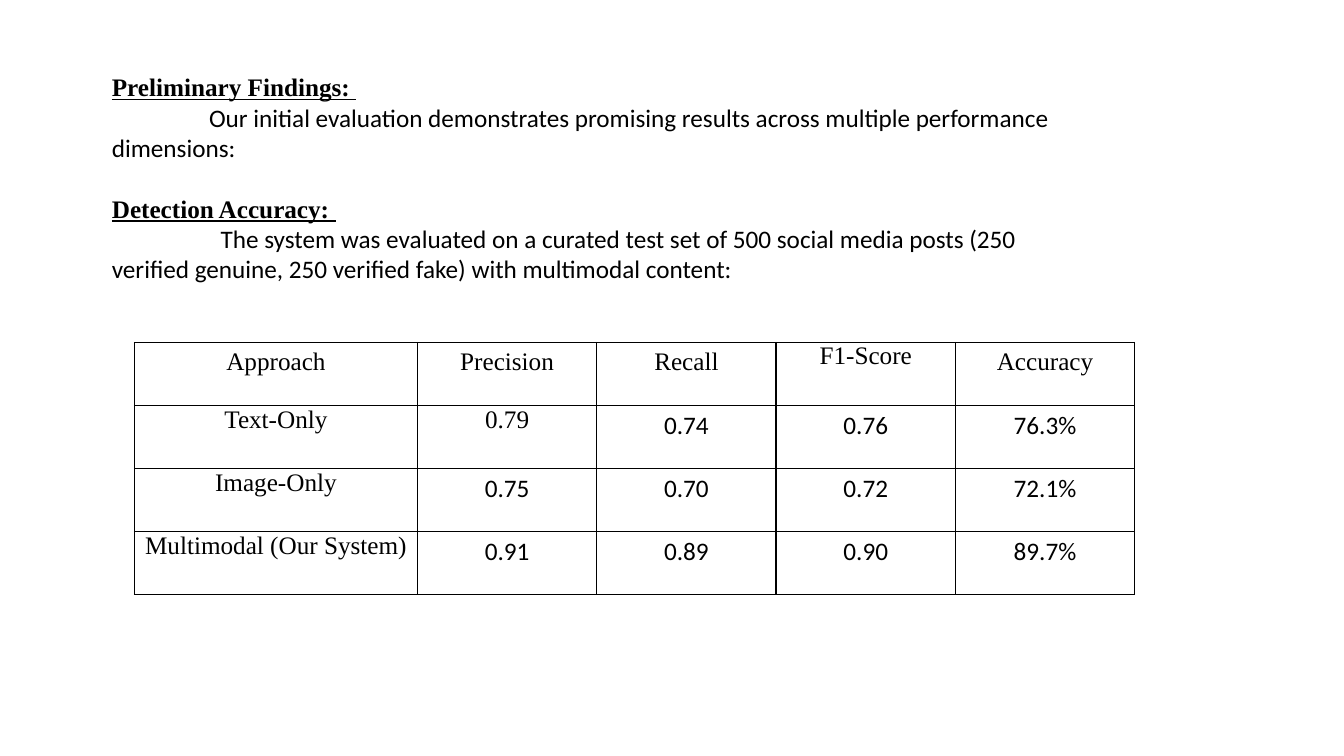
from lxml import etree
from pptx import Presentation
from pptx.dml.color import RGBColor
from pptx.enum import text
from pptx.oxml.ns import qn
from pptx.util import Cm, Pt

SERIF, SANS = "Times New Roman", "Calibri"
INK = "000000"
ROWS = [
    ["Approach", "Precision", "Recall", "F1-Score", "Accuracy"],
    ["Text-Only", "0.79", "0.74", "0.76", "76.3%"],
    ["Image-Only", "0.75", "0.70", "0.72", "72.1%"],
    ["Multimodal (Our System)", "0.91", "0.89", "0.90", "89.7%"],
]
TIGHT = {"F1-Score", "0.79"} | {row[0] for row in ROWS[1:]}


def tint(code):
    return RGBColor.from_string(code)


def style(para, face, bold=False):
    font = para.font
    font.name, font.size = face, Pt(18)
    font.bold = font.underline = bold
    font.color.rgb = tint(INK)


def heading(para, words, stop, gap=0):
    para.text = words + "\u00a0\t".replace("\u00a0", " ")
    props = para._p.get_or_add_pPr()
    tabs = etree.SubElement(props, qn("a:tabLst"))
    etree.SubElement(tabs, qn("a:tab"), pos=str(Cm(stop)), algn="l")
    if gap:
        para.space_before = Pt(gap)
    style(para, SERIF, True)


def prose(para, words, indent):
    para.text = words
    props = para._p.get_or_add_pPr()
    props.set("marL", "0")
    props.set("indent", str(Cm(indent)))
    style(para, SANS)


def border(cell):
    props = cell._tc.get_or_add_tcPr()
    for side in ("lnL", "lnR", "lnT", "lnB"):
        line = etree.SubElement(props, qn("a:" + side), w=str(Pt(1)))
        fill = etree.SubElement(line, qn("a:solidFill"))
        etree.SubElement(fill, qn("a:srgbClr"), val=INK)


def findings(slide):
    box = slide.shapes.add_textbox(Cm(2.57), Cm(1.68), Cm(24.46), Cm(5.64))
    frame = box.text_frame
    frame.word_wrap = True
    heading(frame.paragraphs[0], "Preliminary Findings:", 8.85)
    prose(frame.add_paragraph(), "Our initial evaluation demonstrates promising "
          "results across multiple performance dimensions:", 2.45)
    heading(frame.add_paragraph(), "Detection Accuracy:", 9.14, 22)
    prose(frame.add_paragraph(), "The system was evaluated on a curated test set of "
          "500 social media posts (250 verified genuine, 250 verified fake) "
          "with multimodal content:", 2.74)


def scores(slide):
    high = Cm(1.59)
    table = slide.shapes.add_table(len(ROWS), len(ROWS[0]), Cm(3.39), Cm(8.63),
                                   Cm(25.2), high * len(ROWS)).table
    table.first_row = table.horz_banding = False
    for col, column in enumerate(table.columns):
        column.width = Cm(4.52 if col else 7.13)
    for row, words in enumerate(ROWS):
        table.rows[row].height = high
        for col, word in enumerate(words):
            cell = table.cell(row, col)
            border(cell)
            cell.fill.background()
            if word in TIGHT:
                cell.margin_left = cell.margin_right = Cm(0.18)
                cell.margin_top = cell.margin_bottom = 0
            para = cell.text_frame.paragraphs[0]
            para.text = word
            para.alignment = text.PP_ALIGN.CENTER
            serif = row == 0 or col == 0 or word in TIGHT
            style(para, SERIF if serif else SANS)


def main():
    deck = Presentation()
    deck.slide_width, deck.slide_height = Cm(33.87), Cm(19.05)
    slide = deck.slides.add_slide(deck.slide_layouts[6])
    findings(slide)
    scores(slide)
    deck.save("out.pptx")


if __name__ == "__main__":
    main()
